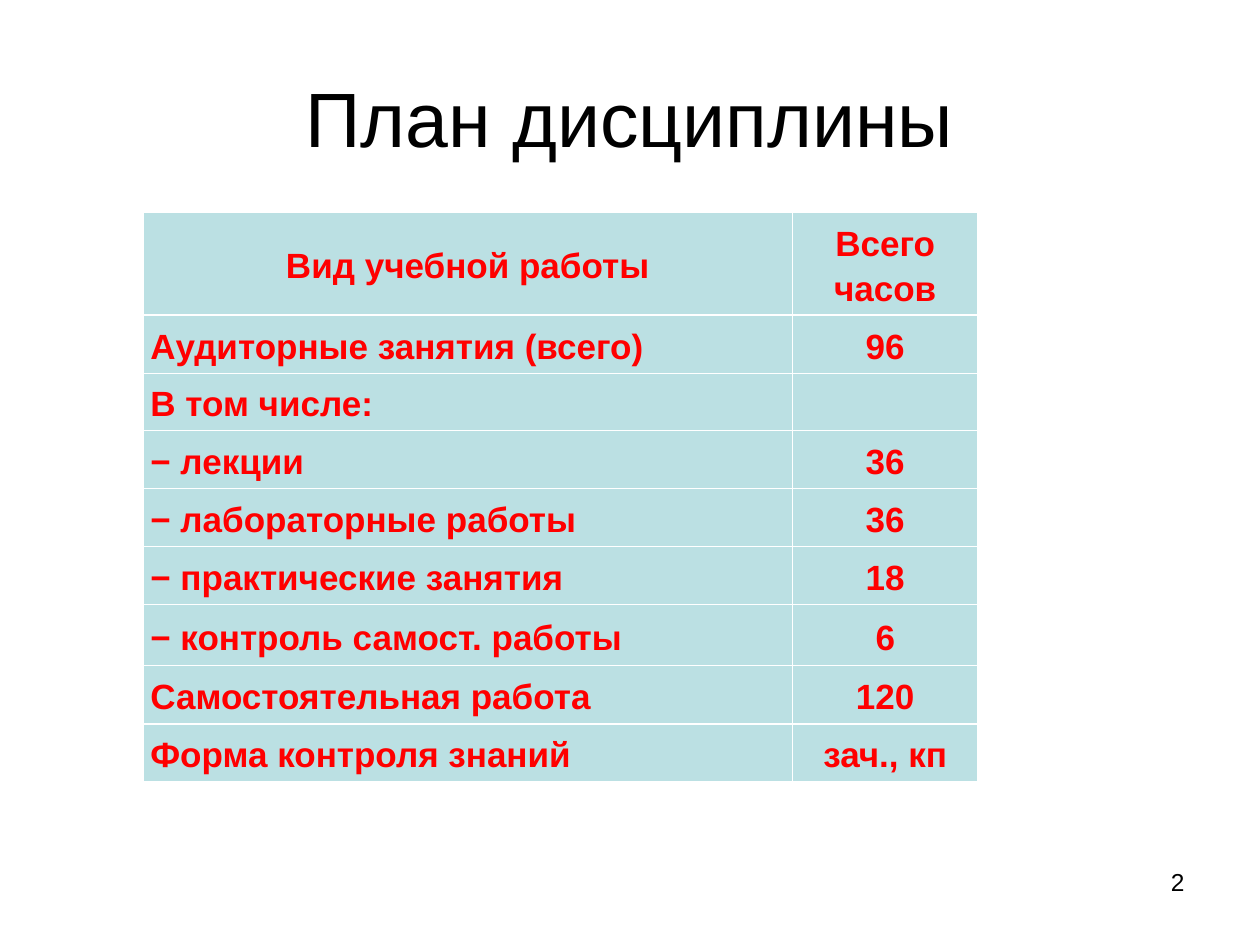
from dataclasses import dataclass

from lxml import etree
from pptx import Presentation
from pptx.dml.color import RGBColor
from pptx.enum.text import MSO_ANCHOR, PP_ALIGN
from pptx.oxml.ns import qn
from pptx.util import Cm, Pt

CENTER, JUSTIFY, RIGHT = PP_ALIGN.CENTER, PP_ALIGN.JUSTIFY, PP_ALIGN.RIGHT
MIDDLE = MSO_ANCHOR.MIDDLE
TITLE_ONLY = 5


@dataclass(frozen=True)
class Theme:
    font: str = "Arial"
    ink: str = "000000"
    accent: str = "FF0000"
    cell: str = "BBE0E3"
    rule: str = "FFFFFF"
    title_size: float = 44
    table_size: float = 20
    number_size: float = 14
    thin: float = 0.45
    thick: float = 1.47


@dataclass(frozen=True)
class Work:
    name: str
    hours: str
    height: float = 0.97
    heavy_below: bool = False


THEME = Theme()
PLAN = [
    Work("Вид учебной работы", "Всего часов", 1.96, heavy_below=True),
    Work("Аудиторные занятия (всего)", "96"),
    Work("В том числе:", ""),
    Work("− лекции", "36"),
    Work("− лабораторные работы", "36"),
    Work("− практические занятия", "18"),
    Work("− контроль самост. работы", "6", 1.24),
    Work("Самостоятельная работа", "120", 1.17, heavy_below=True),
    Work("Форма контроля знаний", "зач., кп"),
]
COLUMN_WIDTHS = (13.1, 3.73)


def write(paragraph, text: str, size: float, color: str, align, bold: bool = False) -> None:
    paragraph.alignment = align
    run = paragraph.add_run()
    run.text = text
    run.font.name = THEME.font
    run.font.size = Pt(size)
    run.font.bold = bold
    run.font.color.rgb = RGBColor.from_string(color)


def draw_borders(cell, top: float, bottom: float) -> None:
    properties = cell._tc.get_or_add_tcPr()
    widths = {"lnL": THEME.thin, "lnR": THEME.thin, "lnT": top, "lnB": bottom}
    for position, (side, width) in enumerate(widths.items()):
        line = etree.Element(qn(f"a:{side}"), w=str(Pt(width)))
        fill = etree.SubElement(line, qn("a:solidFill"))
        etree.SubElement(fill, qn("a:srgbClr"), val=THEME.rule)
        properties.insert(position, line)


def fill_cell(cell, text: str, align, top: float, bottom: float) -> None:
    cell.fill.solid()
    cell.fill.fore_color.rgb = RGBColor.from_string(THEME.cell)
    cell.vertical_anchor = MIDDLE
    cell.margin_left = cell.margin_right = Cm(0.15)
    cell.margin_top = cell.margin_bottom = Cm(0.13)
    if text:
        paragraph = cell.text_frame.paragraphs[0]
        paragraph.line_spacing = 1.15
        paragraph.space_after = Pt(6)
        write(paragraph, text, THEME.table_size, THEME.accent, align, bold=True)
    draw_borders(cell, top, bottom)


def add_plan(slide, plan: list[Work]) -> None:
    table = slide.shapes.add_table(
        len(plan), len(COLUMN_WIDTHS), Cm(2.88), Cm(4.28),
        Cm(sum(COLUMN_WIDTHS)), Cm(sum(work.height for work in plan)),
    ).table
    table.first_row = table.horz_banding = False
    for column, width in zip(table.columns, COLUMN_WIDTHS):
        column.width = Cm(width)
    top = THEME.thin
    for index, work in enumerate(plan):
        table.rows[index].height = Cm(work.height)
        bottom = THEME.thick if work.heavy_below else THEME.thin
        name_align = CENTER if index == 0 else JUSTIFY
        fill_cell(table.cell(index, 0), work.name, name_align, top, bottom)
        fill_cell(table.cell(index, 1), work.hours, CENTER, top, bottom)
        top = bottom


def add_title(slide, text: str) -> None:
    title = slide.shapes.title
    title.left, title.top, title.width, title.height = Cm(1.27), Cm(0.76), Cm(22.86), Cm(3.18)
    title.text_frame.vertical_anchor = MIDDLE
    write(title.text_frame.paragraphs[0], text, THEME.title_size, THEME.ink, CENTER)


def add_page_number(slide, number: str) -> None:
    box = slide.shapes.add_textbox(Cm(18.21), Cm(17.35), Cm(5.92), Cm(1.32))
    box.text_frame.word_wrap = True
    write(box.text_frame.paragraphs[0], number, THEME.number_size, THEME.ink, RIGHT)


def main() -> None:
    deck = Presentation()
    deck.slide_width, deck.slide_height = Cm(25.4), Cm(19.05)
    slide = deck.slides.add_slide(deck.slide_layouts[TITLE_ONLY])
    add_title(slide, "План дисциплины")
    add_plan(slide, PLAN)
    add_page_number(slide, "2")
    deck.save("out.pptx")


if __name__ == "__main__":
    main()
